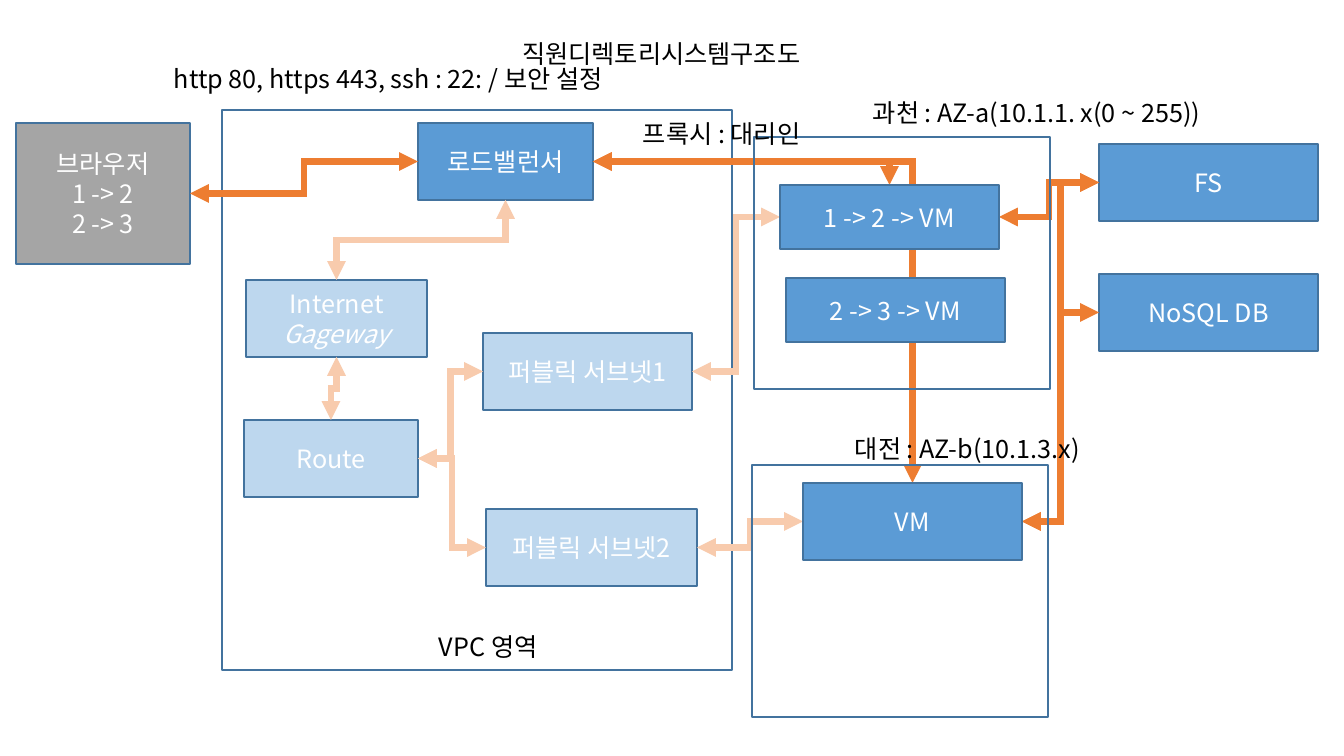
from lxml import etree
from pptx import Presentation
from pptx.dml.color import RGBColor
from pptx.enum.shapes import MSO_CONNECTOR, MSO_SHAPE
from pptx.enum.text import MSO_ANCHOR, MSO_AUTO_SIZE, PP_ALIGN
from pptx.oxml.ns import qn
from pptx.util import Pt

RECTANGLE = MSO_SHAPE.RECTANGLE
ELBOW = MSO_CONNECTOR.ELBOW
LEFT, CENTER = PP_ALIGN.LEFT, PP_ALIGN.CENTER
TOP, MIDDLE = MSO_ANCHOR.TOP, MSO_ANCHOR.MIDDLE
NO_AUTOFIT = MSO_AUTO_SIZE.NONE
TOP_SITE, LEFT_SITE, BOTTOM_SITE, RIGHT_SITE = range(4)

FONT = "Noto Sans CJK KR"
EMU_PER_PX = 914400 / 100.8
COLORS = {
    "text": "000000", "white": "FFFFFF", "outline": "43739E",
    "client": "A5A5A5", "service": "5B9BD5", "network": "BDD7EE",
    "traffic": "ED7D31", "route": "F8CBAD",
}


def px(length):
    """Turn pixels into EMU."""
    return round(length * EMU_PER_PX)


def color(name):
    """Return a named colour."""
    return RGBColor.from_string(COLORS[name])


def write(shape, lines, color_name, alignment, anchor, wrap=True):
    """Fill a shape with one paragraph per line; italic lines start with an asterisk."""
    frame = shape.text_frame
    frame.auto_size = NO_AUTOFIT
    frame.word_wrap = wrap
    frame.vertical_anchor = anchor
    for index, line in enumerate(lines):
        paragraph = frame.add_paragraph() if index else frame.paragraphs[0]
        paragraph.alignment = alignment
        paragraph.line_spacing = 1.0
        run = paragraph.add_run()
        run.text = line.lstrip("*")
        run.font.size = Pt(18)
        run.font.name = FONT
        run.font.italic = line.startswith("*")
        run.font.color.rgb = color(color_name)
        east_asian = etree.SubElement(run.font._element, qn("a:ea"))
        east_asian.set("typeface", FONT)


def add_box(slide, left, top, width, height, fill=None, lines=()):
    """Add an outlined rectangle, filled and labelled on request."""
    shape = slide.shapes.add_shape(RECTANGLE, px(left), px(top), px(width), px(height))
    shape.shadow.inherit = False
    shape.line.color.rgb = color("outline")
    shape.line.width = Pt(1)
    if fill:
        shape.fill.solid()
        shape.fill.fore_color.rgb = color(fill)
    else:
        shape.fill.background()
    write(shape, lines, "white", CENTER, MIDDLE)
    return shape


def add_label(slide, left, top, width, text, wrap=True):
    """Add a black caption."""
    label = slide.shapes.add_textbox(px(left), px(top), px(width), px(40))
    write(label, [text], "text", LEFT, TOP, wrap)
    return label


def draw_title(slide, left, top, width, height):
    """Place the slide title."""
    title = slide.shapes.title
    title.left, title.top, title.width, title.height = map(px, (left, top, width, height))
    write(title, ["직원디렉토리시스템구조도"], "text", LEFT, TOP, wrap=False)


def draw_vpc(slide, left, top, width, height):
    """Draw the VPC area and return its nodes by name."""
    nodes = {}
    for name, x, y, node_width, fill, lines in (
        ("balancer", 196, 13, 175, "service", ["로드밸런서"]),
        ("gateway", 24, 170, 181, "network", ["Internet", "*Gageway"]),
        ("route", 22, 310, 174, "network", ["Route"]),
        ("subnet 1", 261, 223, 209, "network", ["퍼블릭 서브넷1"]),
        ("subnet 2", 264, 399, 211, "network", ["퍼블릭 서브넷2"]),
    ):
        nodes[name] = add_box(slide, left + x, top + y, node_width, 77, fill, lines)
    add_box(slide, left, top, width, height)
    add_label(slide, left + 207, top + 516, 130, "VPC 영역")
    return nodes


def draw_zone(slide, left, top, caption, caption_box, servers):
    """Draw an availability zone and return its frame, caption and servers."""
    x, y, width = caption_box
    parts = [add_box(slide, left, top, 296, 252),
             add_label(slide, left + x, top + y, width, caption)]
    for x, y, height, text in servers:
        parts.append(add_box(slide, left + x, top + y, 219, height, "service", [text]))
    return parts


def draw_storage(slide, left, top):
    """Draw the file store and the database in a column."""
    return {name: add_box(slide, left, top + 130 * row, 219, 77, "service", [text])
            for row, (name, text) in enumerate((("files", "FS"), ("database", "NoSQL DB")))}


def add_link(slide, color_name, start, start_site, end, end_site):
    """Join two nodes by an elbow with an arrowhead at each end."""
    link = slide.shapes.add_connector(ELBOW, 0, 0, 0, 0)
    link.begin_connect(start, start_site)
    link.end_connect(end, end_site)
    link.line.color.rgb = color(color_name)
    link.line.width = Pt(4.5)
    line = link.line._get_or_add_ln()
    etree.SubElement(line, qn("a:miter")).set("lim", "800000")
    for tag in ("a:headEnd", "a:tailEnd"):
        etree.SubElement(line, qn(tag)).set("type", "triangle")
    properties = link._element.spPr
    etree.SubElement(properties, qn("a:effectLst"))
    if start_site == BOTTOM_SITE:
        turn_downward(link, properties.find(qn("a:xfrm")))
    elif end_site == TOP_SITE:
        properties.find(qn("a:prstGeom")).set("prst", "bentConnector2")


def turn_downward(link, transform):
    """Rotate an elbow that runs down and to the left so that it leaves vertically."""
    middle_x = link.left + link.width // 2
    middle_y = link.top + link.height // 2
    width, height = link.height, link.width
    link.left, link.top = middle_x - width // 2, middle_y - height // 2
    link.width, link.height = width, height
    transform.attrib.pop("flipH", None)
    transform.set("rot", "5400000")


def draw_links(slide, nodes):
    """Draw the traffic and routing arrows."""
    for color_name, start, start_site, end, end_site in (
        ("traffic", "balancer", RIGHT_SITE, "server 3", TOP_SITE),
        ("traffic", "balancer", RIGHT_SITE, "server 1", TOP_SITE),
        ("route", "subnet 1", RIGHT_SITE, "server 1", LEFT_SITE),
        ("route", "subnet 2", RIGHT_SITE, "server 3", LEFT_SITE),
        ("route", "balancer", BOTTOM_SITE, "gateway", TOP_SITE),
        ("route", "gateway", BOTTOM_SITE, "route", TOP_SITE),
        ("route", "route", RIGHT_SITE, "subnet 2", LEFT_SITE),
        ("route", "route", RIGHT_SITE, "subnet 1", LEFT_SITE),
        ("traffic", "balancer", LEFT_SITE, "browser", RIGHT_SITE),
        ("traffic", "server 1", RIGHT_SITE, "files", LEFT_SITE),
        ("traffic", "server 3", RIGHT_SITE, "files", LEFT_SITE),
        ("traffic", "server 3", RIGHT_SITE, "database", LEFT_SITE),
    ):
        add_link(slide, color_name, nodes[start], start_site, nodes[end], end_site)


def main():
    """Build the system diagram."""
    presentation = Presentation()
    presentation.slide_width, presentation.slide_height = px(1344), px(756)
    slide = presentation.slides.add_slide(presentation.slide_layouts[5])
    draw_title(slide, 512, 33, 326, 40)
    nodes = {"browser": add_box(slide, 16, 123, 174, 141, "client",
                                ["브라우저", "1 -> 2", "2 -> 3"])}
    nodes.update(draw_vpc(slide, 222, 110, 510, 560))
    nodes.update(draw_storage(slide, 1099, 144))
    zone_a = draw_zone(slide, 754, 137, "과천 : AZ-a(10.1.1. x(0 ~ 255))", (109, -45, 454),
                       [(26, 48, 64, "1 -> 2 -> VM"), (32, 141, 64, "2 -> 3 -> VM")])
    zone_b = draw_zone(slide, 752, 465, "대전 : AZ-b(10.1.3.x)", (93, -37, 490),
                       [(51, 18, 77, "VM")])
    nodes["server 1"], nodes["server 3"] = zone_a[2], zone_b[2]
    draw_links(slide, nodes)
    for part in zone_a + zone_b:
        slide.shapes._spTree.append(part._element)
    add_label(slide, 633, 113, 197, "프록시 : 대리인", wrap=False)
    add_label(slide, 164, 58, 485, "http 80, https 443, ssh : 22: / 보안 설정", wrap=False)
    presentation.save("out.pptx")


if __name__ == "__main__":
    main()
